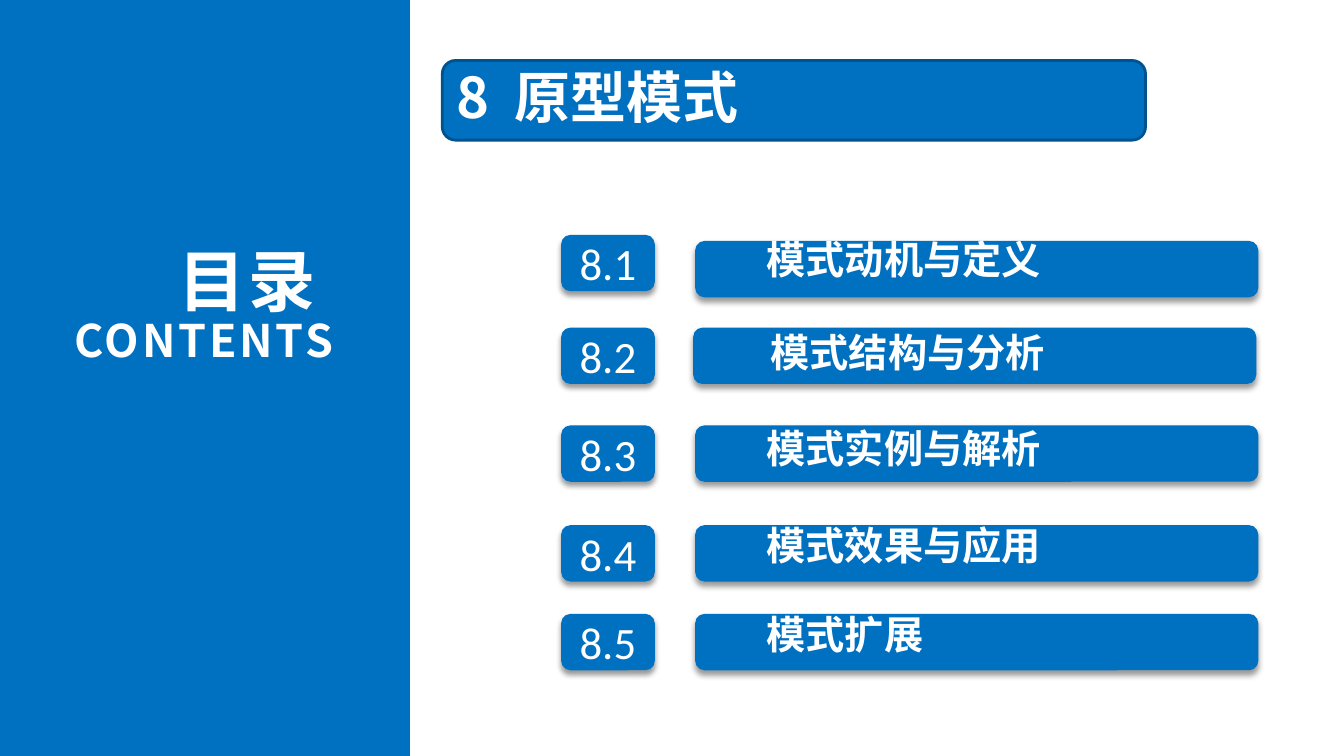
"""Build the contents slide of chapter 8, the prototype pattern."""
from lxml import etree
from pptx import Presentation
from pptx.dml.color import RGBColor
from pptx.enum import shapes, text
from pptx.oxml import ns
from pptx.util import Inches, Pt

BLUE, WHITE = "0070C0", "FFFFFF"
CHINESE_FONT = "Noto Sans CJK SC"
SHADOW = (
    '<a:outerShdw xmlns:a="http://schemas.openxmlformats.org/drawingml/2006/main" '
    'blurRad="50800" dist="38100" dir="5400000" algn="t" rotWithShape="0">'
    '<a:srgbClr val="000000"><a:alpha val="40000"/></a:srgbClr></a:outerShdw>'
)


def add_block(parent, kind, left, top, width, height, shadow=False):
    """Add a blue shape, or a text box when kind is None."""
    box = [Inches(value) for value in (left, top, width, height)]
    if kind is None:
        shape = parent.add_textbox(*box)
    else:
        shape = parent.add_shape(kind, *box)
        shape.fill.solid()
        shape.fill.fore_color.rgb = RGBColor.from_string(BLUE)
        shape.line.fill.background()
        shape.shadow.inherit = False
        if shadow:
            effects = shape._element.spPr.find(ns.qn("a:effectLst"))
            effects.append(etree.fromstring(SHADOW))
    frame = shape.text_frame
    frame.word_wrap = True
    frame.margin_left = frame.margin_right = Inches(0.13)
    frame.margin_top = frame.margin_bottom = Inches(0.07)
    return shape


def add_run(paragraph, content, size, font=CHINESE_FONT, spacing=0):
    """Add one white run; Chinese text is bold."""
    run = paragraph.add_run()
    run.text = content
    run.font.size = Pt(size)
    run.font.bold = font == CHINESE_FONT
    run.font.color.rgb = RGBColor.from_string(WHITE)
    run.font.name = font
    properties = run.font._element
    east_asian = etree.Element(ns.qn("a:ea"), typeface=font)
    properties.find(ns.qn("a:latin")).addnext(east_asian)
    if spacing:
        properties.set("spc", str(spacing * 100))


presentation = Presentation()
presentation.slide_width = Inches(13.34)
presentation.slide_height = Inches(7.5)
slide = presentation.slides.add_slide(presentation.slide_layouts[6])
rectangle = shapes.MSO_SHAPE.RECTANGLE
rounded = shapes.MSO_SHAPE.ROUNDED_RECTANGLE

add_block(slide.shapes, rectangle, 0, 0, 4.07, 7.5)

contents = add_block(slide.shapes, None, 0.37, 2.43, 3.07, 1.48).text_frame
for index, (heading, size) in enumerate([("目录 ", 48), ("CONTENTS", 32)]):
    paragraph = contents.add_paragraph() if index else contents.paragraphs[0]
    paragraph.alignment = text.PP_ALIGN.RIGHT
    paragraph.line_spacing = 0.85
    add_run(paragraph, heading, size, spacing=2)

title = add_block(slide.shapes, rounded, 4.39, 0.6, 6.98, 0.79)
title.line.color.rgb = RGBColor.from_string("00538E")
title.line.width = Pt(2)
title.text_frame.margin_left = Inches(0.1)
title.text_frame.vertical_anchor = text.MSO_ANCHOR.MIDDLE
paragraph = title.text_frame.paragraphs[0]
paragraph.alignment = text.PP_ALIGN.LEFT
paragraph.line_spacing = 0.92
add_run(paragraph, "8", 40)
add_run(paragraph, " ", 40, spacing=9)
add_run(paragraph, "原型模式", 40)

sections = [
    ("模式动机与定义", 2.33, 6.9, 2.39, 7.48, 2.34),
    ("模式结构与分析", 3.25, 6.88, 3.25, 7.52, 3.26),
    ("模式实例与解析", 4.22, 6.9, 4.22, 7.48, 4.21),
    ("模式效果与应用", 5.21, 6.9, 5.21, 7.48, 5.17),
    ("模式扩展", 6.09, 6.9, 6.09, 7.48, 6.06),
]
for number, section in enumerate(sections, 1):
    name, badge_top, bar_left, bar_top, name_left, name_top = section
    badge = add_block(slide.shapes, rounded, 5.57, badge_top, 0.93, 0.56, True)
    badge.text_frame.vertical_anchor = text.MSO_ANCHOR.MIDDLE
    paragraph = badge.text_frame.paragraphs[0]
    paragraph.alignment = text.PP_ALIGN.CENTER
    add_run(paragraph, f"8.{number}", 32, "Calibri")

    group = slide.shapes.add_group_shape()
    add_block(group.shapes, rounded, bar_left, bar_top, 5.59, 0.56, True)
    label = add_block(group.shapes, None, name_left, name_top, 4.09, 0.61)
    paragraph = label.text_frame.paragraphs[0]
    paragraph.line_spacing = 0.85
    add_run(paragraph, name, 28)

presentation.save("out.pptx")
